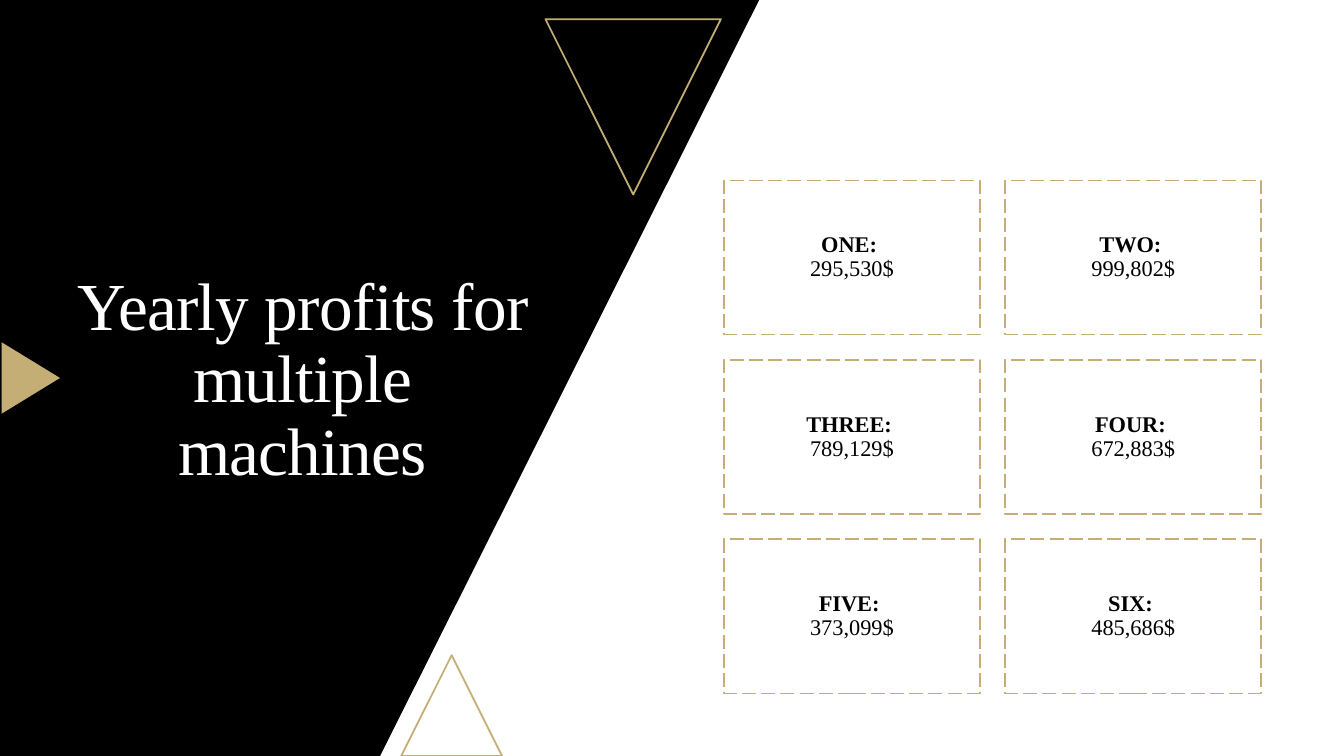
from dataclasses import dataclass

from pptx import Presentation
from pptx.dml.color import RGBColor
from pptx.enum.dml import MSO_LINE
from pptx.enum.shapes import MSO_SHAPE
from pptx.enum.text import MSO_ANCHOR, PP_ALIGN
from pptx.util import Inches, Pt


@dataclass(frozen=True)
class Theme:
    """Colours, font and sizes of the slide."""
    black: RGBColor = RGBColor(0, 0, 0)
    white: RGBColor = RGBColor(255, 255, 255)
    gold: RGBColor = RGBColor(0xC4, 0xAE, 0x75)
    font: str = "Times New Roman"
    title_size: int = 48
    card_size: int = 16
    line_width: float = 1.25


THEME = Theme()
PROFITS = [
    ("ONE: ", "295,530$"), ("TWO: ", "999,802$"),
    ("THREE: ", "789,129$"), ("FOUR: ", "672,883$"),
    ("FIVE: ", "373,099$"), ("SIX: ", "485,686$"),
]
COLUMNS = 2
CARD_LEFT, CARD_TOP = 7.18, 1.79
CARD_WIDTH, CARD_HEIGHT = 2.54, 1.53
CARD_GAP = 0.25


def style_shape(shape, fill=None, line=None, dash=None):
    """Set fill and outline, and remove the shadow."""
    shape.shadow.inherit = False
    if fill is None:
        shape.fill.background()
    else:
        shape.fill.solid()
        shape.fill.fore_color.rgb = fill
    if line is None:
        shape.line.fill.background()
    else:
        shape.line.color.rgb = line
        shape.line.width = Pt(THEME.line_width)
        shape.line.dash_style = dash


def add_preset(page, kind, left, top, width, height, rotation=0, **style):
    """Add a styled preset shape."""
    shape = page.shapes.add_shape(
        kind, Inches(left), Inches(top), Inches(width), Inches(height))
    shape.rotation = rotation
    style_shape(shape, **style)
    return shape


def add_panel(page):
    """Add the slanted black panel."""
    builder = page.shapes.build_freeform(0, 0)
    corners = [(7.53, 0), (3.77, 7.5), (0, 7.5)]
    builder.add_line_segments([(Inches(x), Inches(y)) for x, y in corners])
    style_shape(builder.convert_to_shape(), fill=THEME.black)


def prepare_frame(shape, margin):
    """Centre the text of a shape and return its paragraph."""
    frame = shape.text_frame
    frame.word_wrap = True
    frame.vertical_anchor = MSO_ANCHOR.MIDDLE
    frame.margin_left = frame.margin_right = Inches(margin)
    frame.margin_top = frame.margin_bottom = Inches(margin)
    para = frame.paragraphs[0]
    para.alignment = PP_ALIGN.CENTER
    para.line_spacing = 0.9
    return para


def add_span(para, text, size, color, bold=False, spacing=None):
    """Add formatted text to a paragraph."""
    span = para.add_run()
    span.text = text
    span.font.name = THEME.font
    span.font.size = Pt(size)
    span.font.bold = bold
    span.font.color.rgb = color
    if spacing is not None:
        span.font._element.set("spc", str(int(spacing * 100)))


def add_title(page, text):
    """Add the title on the black panel."""
    box = page.shapes.add_textbox(
        Inches(0.6), Inches(2.14), Inches(4.8), Inches(3.28))
    para = prepare_frame(box, margin=0.1)
    add_span(para, text, THEME.title_size, THEME.white, spacing=-0.5)


def add_card(page, index, label, amount):
    """Add one dashed profit card at its place in the grid."""
    row, column = divmod(index, COLUMNS)
    card = add_preset(
        page, MSO_SHAPE.RECTANGLE,
        CARD_LEFT + column * (CARD_WIDTH + CARD_GAP),
        CARD_TOP + row * (CARD_HEIGHT + CARD_GAP),
        CARD_WIDTH, CARD_HEIGHT, line=THEME.gold, dash=MSO_LINE.LONG_DASH)
    para = prepare_frame(card, margin=0.07)
    add_span(para, label, THEME.card_size, THEME.black, bold=True)
    para.add_line_break()
    add_span(para, amount, THEME.card_size, THEME.black)


def main():
    """Build and save the slide."""
    deck = Presentation()
    deck.slide_width, deck.slide_height = Inches(13.33), Inches(7.5)
    page = deck.slides.add_slide(deck.slide_layouts[6])
    triangle = MSO_SHAPE.ISOSCELES_TRIANGLE
    add_panel(page)
    add_preset(page, triangle, 3.98, 6.5, 1, 1, line=THEME.gold)
    add_preset(page, triangle, 5.41, 0.19, 1.74, 1.74, 180, line=THEME.gold)
    add_preset(page, triangle, -0.05, 3.46, 0.71, 0.58, 90, fill=THEME.gold)
    for index, (label, amount) in enumerate(PROFITS):
        add_card(page, index, label, amount)
    add_title(page, "Yearly profits for multiple machines")
    deck.save("out.pptx")


if __name__ == "__main__":
    main()
